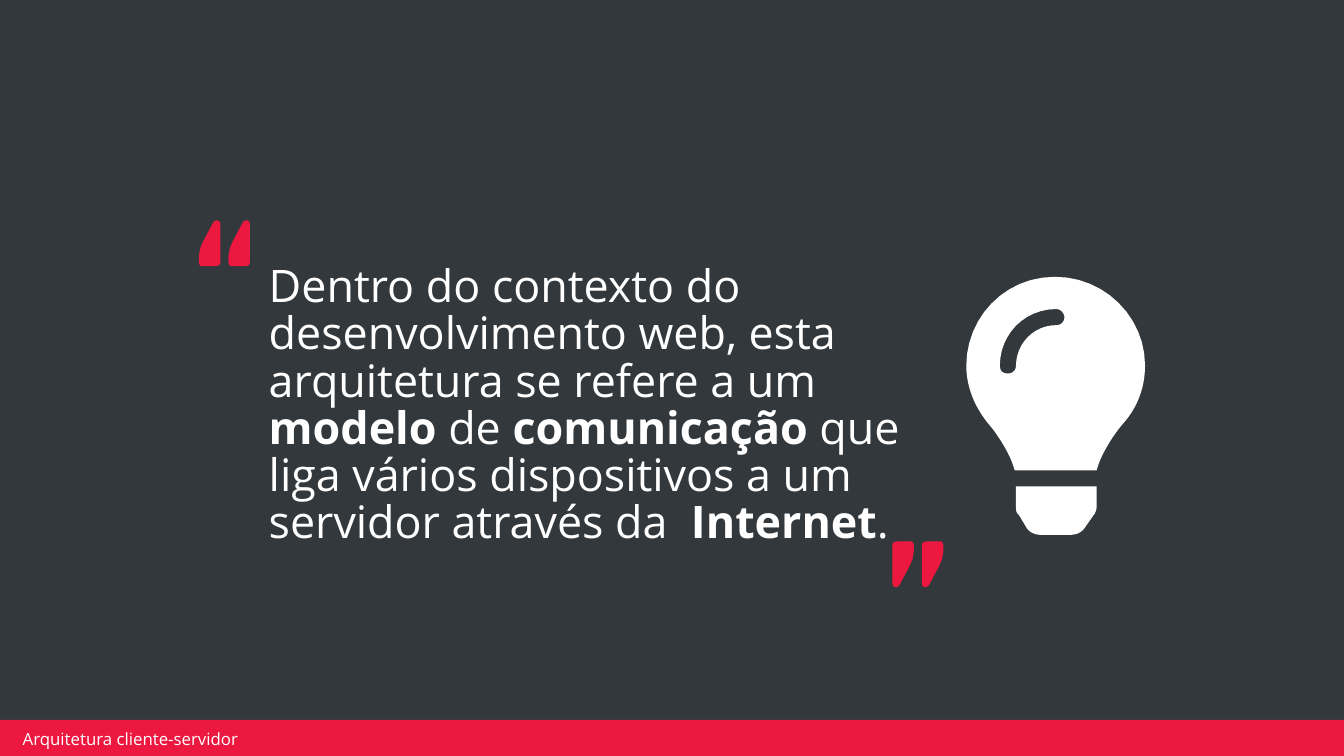
from pptx import Presentation
from pptx.dml.color import RGBColor
from pptx.enum.shapes import MSO_SHAPE
from pptx.enum.text import MSO_ANCHOR
from pptx.util import Cm, Pt

WHITE, RED, DARK = "FFFFFF", "EC183F", "33383C"
UNIT = 0.0254  # outlines are drawn in hundredths of an inch, in cm
CURVE_STEPS = 12


def paint(fill, color):
    fill.solid()
    fill.fore_color.rgb = RGBColor.from_string(color)


def add_text(runs, left, top, width, height, size, inset_x, inset_y,
             before=0, spacing=1.0):
    """Add one paragraph made of (text, bold) runs."""
    frame = slide.shapes.add_textbox(Cm(left), Cm(top), Cm(width), Cm(height)).text_frame
    frame.word_wrap = True
    frame.vertical_anchor = MSO_ANCHOR.MIDDLE
    frame.margin_left = frame.margin_right = Cm(inset_x)
    frame.margin_top = frame.margin_bottom = Cm(inset_y)
    paragraph = frame.paragraphs[0]
    paragraph.space_before = Pt(before)
    paragraph.line_spacing = spacing
    for text, bold in runs:
        run = paragraph.add_run()
        run.text = text
        run.font.name = "Open Sans"
        run.font.size = Pt(size)
        run.font.bold = bold
        paint(run.font.fill, WHITE)


prs = Presentation()
prs.slide_width, prs.slide_height = Cm(25.4), Cm(14.29)
slide = prs.slides.add_slide(prs.slide_layouts[6])
paint(slide.background.fill, DARK)

# Footer band with the topic
footer = slide.shapes.add_shape(MSO_SHAPE.RECTANGLE, 0, Cm(13.61), Cm(25.4), Cm(0.68))
footer.shadow.inherit = False
paint(footer.fill, RED)
footer.line.fill.background()
add_text([("Arquitetura cliente-servidor", False)], 0.3, 13.77, 6.07, 0.38,
         size=9, inset_x=0.13, inset_y=0.05)

# Quotation
quotation = [
    ("Dentro do contexto do desenvolvimento web, esta arquitetura se refere a um ", False),
    ("modelo", True),
    (" de ", False),
    ("comunicação ", True),
    ("que liga vários dispositivos a um servidor através da  ", False),
    ("Internet", True),
    (".", False),
]
add_text(quotation, 4.83, 4.8, 12.67, 5.77, size=24, inset_x=0.25, inset_y=0.13,
         before=6, spacing=0.88)

# Light bulb: a pair is a corner, six numbers are a Bézier curve
base = [(756, 377), (756, 379, 756, 382, 758, 383), (764, 393),
        (766, 396, 770, 398, 774, 398), (797, 398),
        (801, 398, 805, 396, 807, 393), (814, 383),
        (815, 382, 816, 379, 816, 377), (816, 362), (756, 362)]
glass = [(719, 272), (719, 289, 726, 304, 736, 316),
         (742, 323, 752, 338, 755, 350), (816, 350),
         (819, 338, 829, 323, 835, 316), (846, 304, 852, 289, 852, 272),
         (852, 236, 822, 206, 785, 206), (747, 206, 719, 237, 719, 272)]
glint = [(786, 242), (769, 242, 756, 256, 756, 272),
         (756, 276, 753, 278, 750, 278), (746, 278, 744, 276, 744, 272),
         (744, 249, 762, 230, 786, 230), (789, 230, 792, 233, 792, 236),
         (792, 240, 789, 242, 786, 242)]
drawings = [(WHITE, [base, glass, glint])]

# Quotation marks: the closing pair is the opening stroke turned half round
stroke = [(14, 0), (13, 0), (11, 1), (10.5, 2), (3, 16), (1, 21), (0, 27), (0, 31),
          (0.5, 33), (1.5, 34), (3, 34), (13, 34), (15, 33.5), (16, 32),
          (16, 3), (15.5, 1), (15, 0.5)]
for left, top, turned in [(148, 164, False), (170, 164, False),
                          (686, 403, True), (664, 403, True)]:
    mark = [(left + (16 - x if turned else x), top + (34 - y if turned else y))
            for x, y in stroke]
    drawings.append((RED, [mark]))

# Draw every outline, with curves split into short segments
for color, contours in drawings:
    builder = None
    for contour in contours:
        points = []
        for step in contour:
            if len(step) == 2:
                points.append(step)
                continue
            controls = [points[-1], step[:2], step[2:4], step[4:]]
            for i in range(1, CURVE_STEPS + 1):
                t = i / CURVE_STEPS
                weights = ((1 - t) ** 3, 3 * t * (1 - t) ** 2, 3 * t ** 2 * (1 - t), t ** 3)
                points.append(tuple(sum(w * c[axis] for w, c in zip(weights, controls))
                                    for axis in (0, 1)))
        points = [(Cm(x * UNIT), Cm(y * UNIT)) for x, y in points]
        if builder is None:
            builder = slide.shapes.build_freeform(*points[0])
        else:
            builder.move_to(*points[0])
        builder.add_line_segments(points[1:], close=True)
    outline = builder.convert_to_shape()
    outline.shadow.inherit = False
    paint(outline.fill, color)
    outline.line.fill.background()

prs.save("out.pptx")
